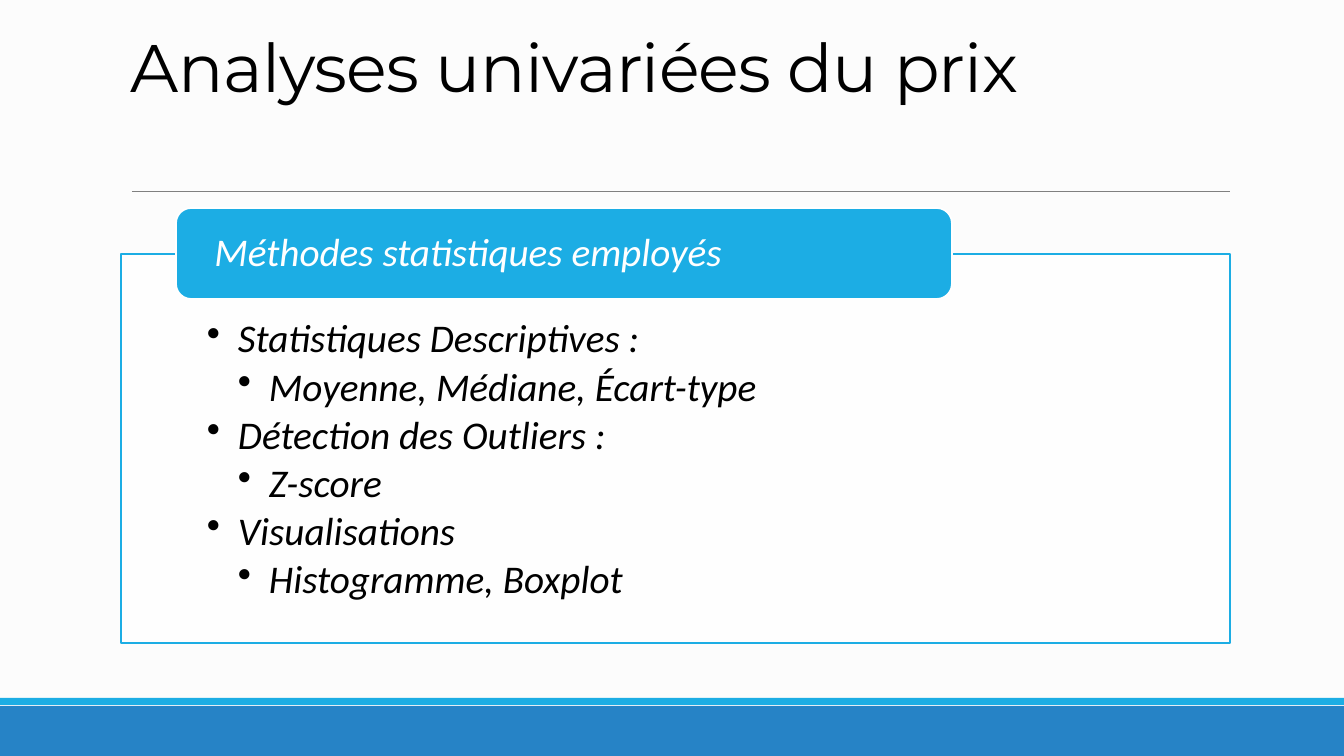
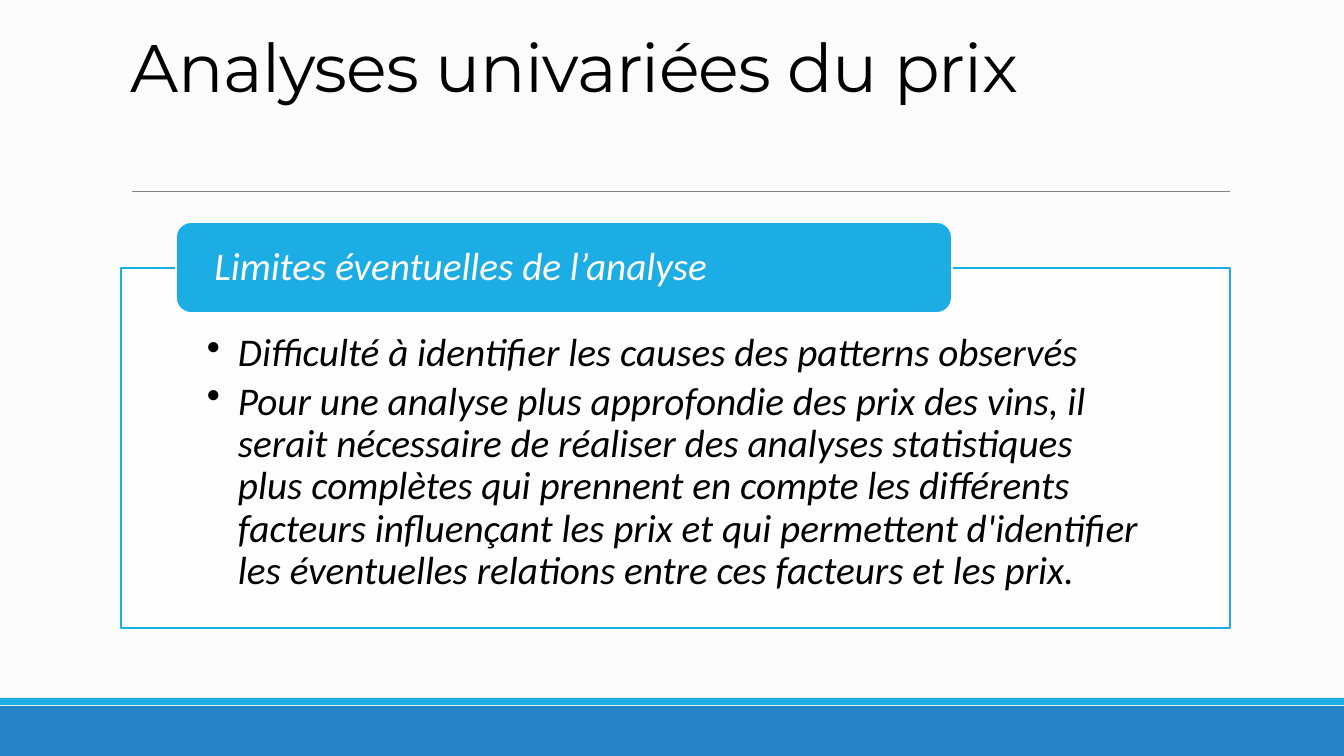
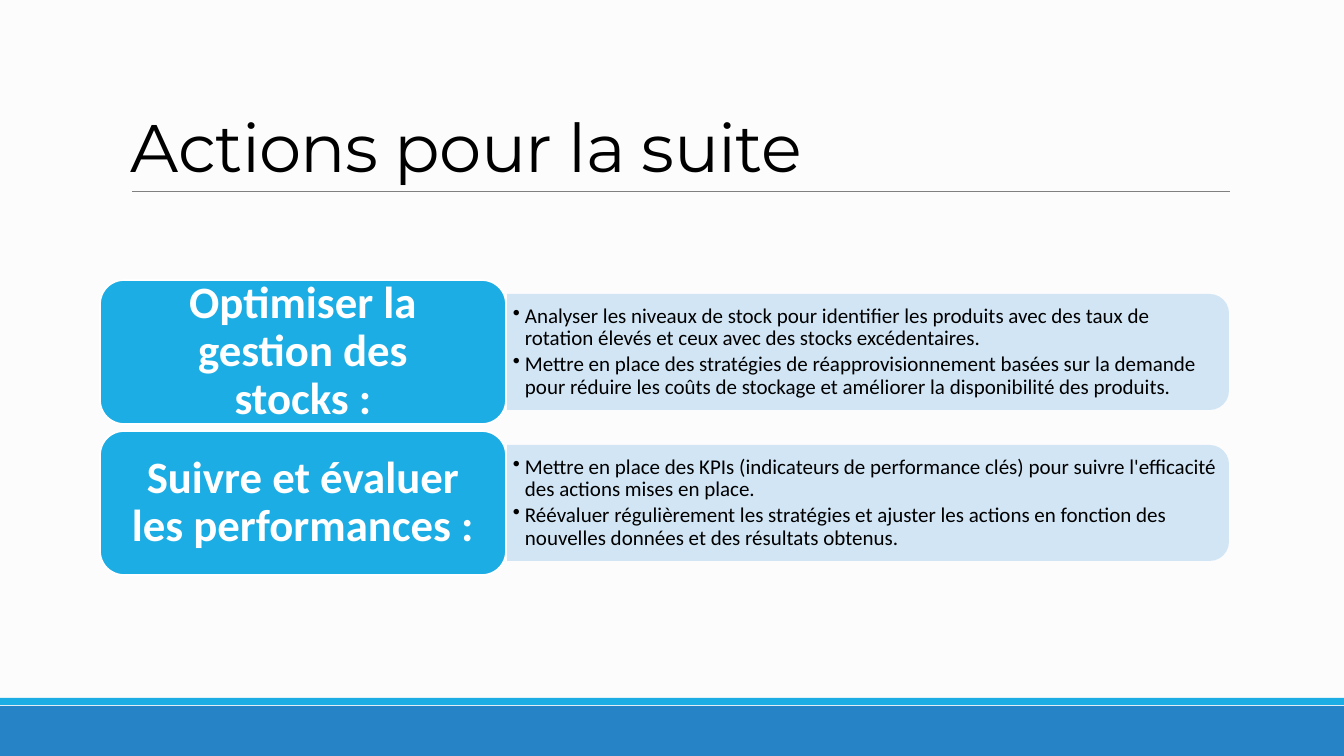
"""Build three slides on price analysis and follow-up actions."""
from dataclasses import dataclass
from typing import Optional

from lxml.etree import SubElement
from pptx import Presentation
from pptx.dml.color import RGBColor
from pptx.enum.shapes import MSO_CONNECTOR as Connector, MSO_SHAPE as Preset
from pptx.enum.text import MSO_ANCHOR as Anchor, MSO_AUTO_SIZE as AutoSize, PP_ALIGN as Align
from pptx.oxml.ns import qn
from pptx.util import Pt

EMU_PER_PX = 12192000 / 1344
WIDTH, HEIGHT = 1344, 756
BLUE = RGBColor(0x26, 0x83, 0xC6)
CYAN = RGBColor(0x1C, 0xAD, 0xE4)
PALE = RGBColor(0xCD, 0xE3, 0xF5)
GRAY = RGBColor(0x80, 0x80, 0x80)
PAPER = RGBColor(0xFC, 0xFC, 0xFC)
WHITE = RGBColor(0xFF, 0xFF, 0xFF)
BLACK = RGBColor(0x00, 0x00, 0x00)
BODY_FONT, TITLE_FONT = "Calibri", "Montserrat"


@dataclass(frozen=True)
class Area:
    left: int
    top: int
    width: int
    height: int


@dataclass(frozen=True)
class Item:
    text: str
    level: int = 0


@dataclass(frozen=True)
class Panel:
    top: int
    height: int
    heading: str
    items: tuple[Item, ...]


@dataclass(frozen=True)
class Action:
    heading: str
    items: tuple[Item, ...]


PRICE_TITLE = "Analyses univariées du prix"
PANELS = (
    Panel(254, 389, "Méthodes statistiques employés", (
        Item("Statistiques Descriptives :"),
        Item("Moyenne, Médiane, Écart-type", 1),
        Item("Détection des Outliers :"),
        Item("Z-score", 1),
        Item("Visualisations"),
        Item("Histogramme, Boxplot", 1),
    )),
    Panel(268, 360, "Limites éventuelles de l’analyse", (
        Item("Difficulté à identifier les causes des patterns observés"),
        Item("Pour une analyse plus approfondie des prix des vins, il serait nécessaire de "
             "réaliser des analyses statistiques plus complètes qui prennent en compte les "
             "différents facteurs influençant les prix et qui permettent d'identifier les "
             "éventuelles relations entre ces facteurs et les prix."),
    )),
)
ACTIONS = (
    Action("Optimiser la gestion des stocks :", (
        Item("Analyser les niveaux de stock pour identifier les produits avec des taux de "
             "rotation élevés et ceux avec des stocks excédentaires."),
        Item("Mettre en place des stratégies de réapprovisionnement basées sur la demande "
             "pour réduire les coûts de stockage et améliorer la disponibilité des produits."),
    )),
    Action("Suivre et évaluer les performances :", (
        Item("Mettre en place des KPIs (indicateurs de performance clés) pour suivre "
             "l'efficacité des actions mises en place."),
        Item("Réévaluer régulièrement les stratégies et ajuster les actions en fonction des "
             "nouvelles données et des résultats obtenus."),
    )),
)


def px(value: int) -> int:
    return round(value * EMU_PER_PX)


def place(area: Area) -> tuple[int, int, int, int]:
    return px(area.left), px(area.top), px(area.width), px(area.height)


def add_box(page, preset, area: Area, fill: RGBColor, *, line: Optional[RGBColor] = None,
            opacity: int = 100):
    box = page.shapes.add_shape(preset, *place(area))
    box.shadow.inherit = False
    box.fill.solid()
    box.fill.fore_color.rgb = fill
    if opacity < 100:
        color = box.element.spPr.find(qn("a:solidFill"))[0]
        SubElement(color, qn("a:alpha"), val=str(opacity * 1000))
    if line is None:
        box.line.fill.background()
    else:
        box.line.color.rgb = line
        box.line.width = Pt(1.25)
    return box


def write(box, items: tuple[Item, ...], *, size: int, color: RGBColor = BLACK,
          font: str = BODY_FONT, bold: bool = False, italic: bool = False,
          align=Align.LEFT, anchor=Anchor.MIDDLE, insets: tuple[int, int, int, int] = (0, 0, 0, 0),
          spacing: float = 0.9, after: float = 0.15, indent: int = 0, tracking: int = 0) -> None:
    frame = box.text_frame
    frame.word_wrap = True
    frame.auto_size = AutoSize.NONE
    frame.vertical_anchor = anchor
    frame.margin_left, frame.margin_top, frame.margin_right, frame.margin_bottom = map(px, insets)
    for index, item in enumerate(items):
        para = frame.add_paragraph() if index else frame.paragraphs[0]
        para.alignment = align
        para.level = item.level
        para.line_spacing = spacing
        para.space_before = Pt(0)
        para.space_after = Pt(size * after)
        if indent:
            properties = para._p.get_or_add_pPr()
            properties.set("marL", str(px(indent * (item.level + 1))))
            properties.set("indent", str(-px(indent)))
            SubElement(properties, qn("a:buChar"), char="•")
        span = para.add_run()
        span.text = item.text
        span.font.name = font
        span.font.size = Pt(size)
        span.font.bold = bold
        span.font.italic = italic
        span.font.color.rgb = color
        if tracking:
            span.font._element.set("spc", str(tracking))


def add_page(deck, layout, title: str, raised: int = 0):
    page = deck.slides.add_slide(layout)
    heading = page.shapes.title
    heading.left, heading.top, heading.width, heading.height = place(Area(121, 31, 1109, 160))
    write(heading, (Item(title),), size=48, font=TITLE_FONT, anchor=Anchor.BOTTOM,
          insets=(10, 5, 10, 5 + raised), spacing=0.85, after=0, tracking=-50)
    return page


def add_frame(page, layout) -> None:
    """Draw the bands and title rule once and move them to the shared layout."""
    rule = page.shapes.add_connector(Connector.STRAIGHT, px(132), px(191), px(1230), px(191))
    rule.line.color.rgb = GRAY
    rule.line.width = Pt(0.5)
    SubElement(rule.element.spPr, qn("a:effectLst"))
    band = add_box(page, Preset.RECTANGLE, Area(0, 706, WIDTH, 50), BLUE)
    stripe = add_box(page, Preset.RECTANGLE, Area(0, 698, WIDTH, 7), CYAN)
    for shape in (band, stripe, rule):
        layout.shapes.element.append(shape.element)


def add_panel(page, panel: Panel) -> None:
    body = add_box(page, Preset.RECTANGLE, Area(121, panel.top, 1109, panel.height), WHITE,
                   line=CYAN, opacity=90)
    write(body, panel.items, size=28, italic=True, anchor=Anchor.TOP,
          insets=(86, 65, 86, 22), indent=31)
    tab = add_box(page, Preset.ROUNDED_RECTANGLE, Area(176, panel.top - 46, 776, 91), CYAN,
                  line=WHITE)
    write(tab, (Item(panel.heading),), size=28, color=WHITE, italic=True,
          insets=(34, 4, 34, 4), after=0.35)


def add_action(page, action: Action, top: int) -> None:
    length, depth, left, middle = 722, 116, 507, top + 72
    strip = add_box(page, Preset.ROUND_2_SAME_RECTANGLE,
                    Area(left + (length - depth) // 2, middle - length // 2, depth, length),
                    PALE, opacity=90)
    strip.rotation = 90
    details = page.shapes.add_textbox(*place(Area(left, middle - 52, 718, 104)))
    write(details, action.items, size=15, insets=(6, 3, 6, 3), indent=12)
    label = add_box(page, Preset.ROUNDED_RECTANGLE, Area(100, top, 406, 144), CYAN, line=WHITE)
    write(label, (Item(action.heading),), size=32, color=WHITE, bold=True,
          align=Align.CENTER, insets=(20, 14, 20, 14), after=0.35)


def main() -> None:
    deck = Presentation()
    deck.slide_width, deck.slide_height = px(WIDTH), px(HEIGHT)
    background = deck.slide_master.background.fill
    background.solid()
    background.fore_color.rgb = PAPER
    layout = deck.slide_layouts[5]
    for holder in list(layout.placeholders)[1:]:
        layout.shapes.element.remove(holder.element)
    pages = [add_page(deck, layout, PRICE_TITLE, raised=80) for _ in PANELS]
    add_frame(pages[0], layout)
    for page, panel in zip(pages, PANELS):
        add_panel(page, panel)
    page = add_page(deck, layout, "Actions pour la suite")
    for index, action in enumerate(ACTIONS):
        add_action(page, action, 280 + 151 * index)
    deck.save("out.pptx")


if __name__ == "__main__":
    main()
